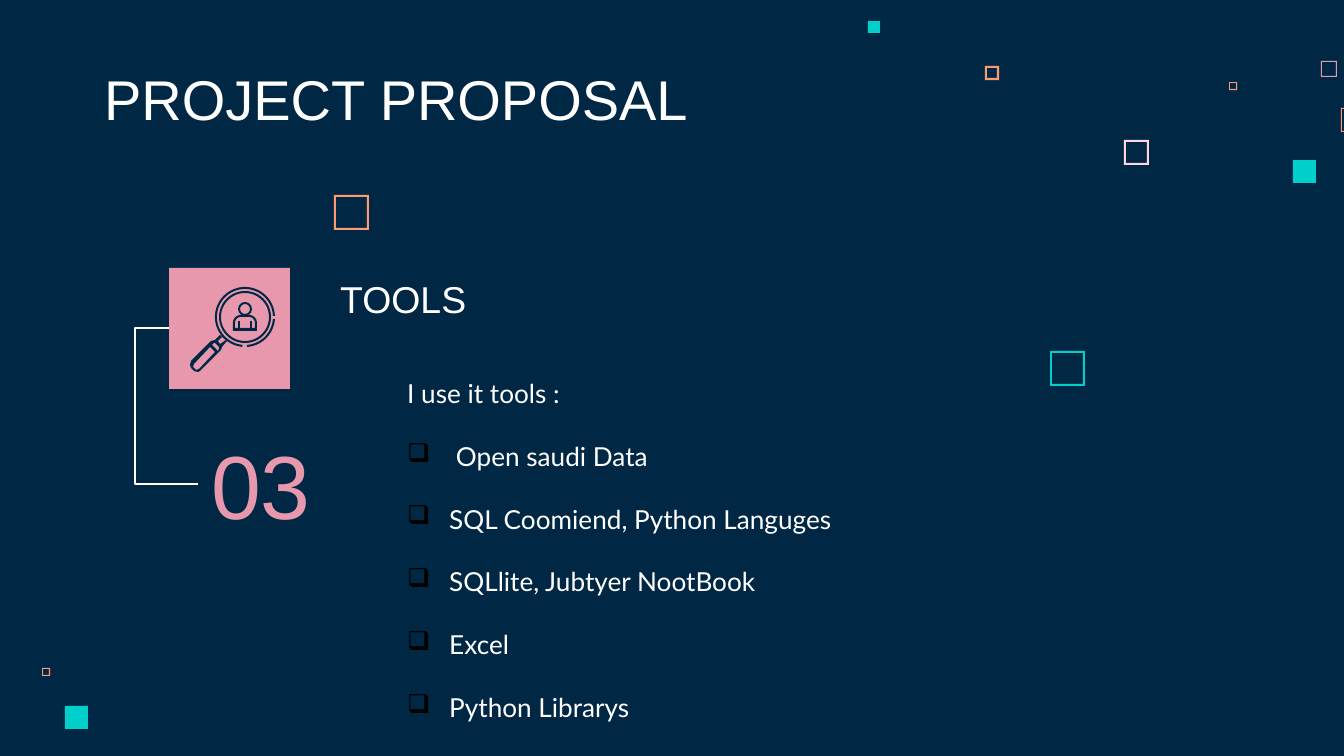
import dataclasses
import math

import pptx
import pptx.dml.color
import pptx.enum.shapes
import pptx.enum.text
import pptx.oxml.ns
import pptx.util
from lxml import etree

PX = 914400 / 134.4
ANCHOR = pptx.enum.text.MSO_ANCHOR
SHAPE = pptx.enum.shapes.MSO_SHAPE
qn = pptx.oxml.ns.qn


@dataclasses.dataclass(frozen=True)
class Theme:
    navy: str = "002845"
    white: str = "FFFFFF"
    pink: str = "E898AC"
    blush: str = "FFD6E1"
    coral: str = "FF9973"
    teal: str = "00CFCC"
    black: str = "000000"
    head: str = "Arial"
    body: str = "Lato"
    title: int = 30
    label: int = 20
    number: int = 48
    text: int = 14
    gap: float = 16.8


def emu(px):
    return pptx.util.Emu(round(px * PX))


def rgb(color):
    return pptx.dml.color.RGBColor.from_string(color)


def put(item, values):
    for name, value in values.items():
        setattr(item, name, value)


def arc(x, y, r, start, end):
    """Points along a circle, with degrees clockwise from the right."""
    steps = max(2, abs(end - start) // 6)
    turns = [math.radians(start + (end - start) * i / steps) for i in range(steps + 1)]
    return [(x + r * math.cos(a), y + r * math.sin(a)) for a in turns]


def box(x, y, w, h):
    return [(x, y), (x + w, y), (x + w, y + h), (x, y + h)]


class Pen:
    def __init__(self, slide, theme):
        self.slide, self.theme = slide, theme
        self.shapes = slide.shapes
        put(slide.background.fill, {})
        slide.background.fill.solid()
        slide.background.fill.fore_color.rgb = rgb(theme.navy)

    def paint(self, shape, color):
        shape.shadow.inherit = False
        shape.fill.solid()
        shape.fill.fore_color.rgb = rgb(color)
        shape.line.fill.background()

    def solid(self, x, y, w, h, color, kind=SHAPE.RECTANGLE):
        shape = self.shapes.add_shape(kind, emu(x), emu(y), emu(w), emu(h))
        self.paint(shape, color)
        return shape

    def ring(self, x, y, r, width, color):
        shape = self.solid(x - r, y - r, 2 * r, 2 * r, color, SHAPE.DONUT)
        shape.adjustments[0] = width / (2 * r)

    def free(self, loops, color):
        """Fill closed loops; a loop inside another is a hole."""
        loops = [[(emu(x), emu(y)) for x, y in loop] for loop in loops]
        path = self.shapes.build_freeform(*loops[0][0])
        for i, loop in enumerate(loops):
            if i:
                path.move_to(*loop[0])
            path.add_line_segments(loop[1:], close=True)
        self.paint(path.convert_to_shape(), color)

    def frame(self, x, y, size, edge, color):
        hole = box(x + edge, y + edge, size - 2 * edge, size - 2 * edge)
        self.free([hole, box(x, y, size, size)], color)

    def elbow(self, x1, y1, x2, y2, bend, color):
        kind = pptx.enum.shapes.MSO_CONNECTOR.ELBOW
        line = self.shapes.add_connector(kind, emu(x1), emu(y1), emu(x2), emu(y2))
        put(line.line, {"width": pptx.util.Pt(0.75)})
        line.line.color.rgb = rgb(color)
        props = line.element.spPr
        etree.SubElement(props, qn("a:effectLst"))
        shape = props.find(qn("a:prstGeom"))
        guides = shape.find(qn("a:avLst"))
        if guides is None:
            guides = etree.SubElement(shape, qn("a:avLst"))
        value = round((bend - x1) / (x2 - x1) * 100000)
        etree.SubElement(guides, qn("a:gd"), name="adj1", fmla=f"val {value}")

    def text(self, x, y, w, h, lines, size, font, color, anchor=ANCHOR.BOTTOM):
        frame = self.shapes.add_textbox(emu(x), emu(y), emu(w), emu(h)).text_frame
        sides = ("left", "top", "right", "bottom")
        put(frame, {f"margin_{side}": pptx.util.Inches(0.1) for side in sides})
        put(frame, {"word_wrap": True, "vertical_anchor": anchor})
        for i, line in enumerate(lines):
            para = frame.add_paragraph() if i else frame.paragraphs[0]
            para.space_before = pptx.util.Pt(self.theme.gap if i else 0)
            run = para.add_run()
            run.text = line
            put(run.font, {"size": pptx.util.Pt(size), "name": font})
            run.font.color.rgb = rgb(color)
        return frame.paragraphs

    def bullet(self, para, mark, color, indent):
        props = para._p.get_or_add_pPr()
        props.set("marL", str(emu(indent)))
        props.set("indent", str(emu(-indent)))
        tint = etree.SubElement(props, qn("a:buClr"))
        etree.SubElement(tint, qn("a:srgbClr"), val=color)
        etree.SubElement(props, qn("a:buChar"), char=mark)


def lens(pen, color):
    """Magnifier held over a person."""
    x, y = 245, 317
    page = pen.shapes
    pen.shapes = page.add_group_shape().shapes
    for start, end in ((95, 358), (4, 86)):
        pen.free([arc(x, y, 30, start, end) + arc(x, y, 28, end, start)], color)
    pen.ring(x, y, 26, 2, color)
    pen.ring(x, 309, 7, 2, color)
    body = [
        [(x - 4 - r, base)] + arc(x - 4, 323, r, 180, 270)
        + arc(x + 4, 323, r, 270, 360) + [(x + 4 + r, base)]
        for r, base in ((8, 331), (6, 328))
    ]
    pen.free(body, color)
    for arm in (238, 250):
        pen.free([box(arm, 321, 2, 8)], color)
    grip = [(220, 335), (215, 340), (211, 341), (191, 361), (190, 365),
            (191, 368), (194, 371), (198, 372), (200, 371), (218, 353),
            (221, 350), (222, 347), (227, 341)]
    holes = [
        [(210, 347), (215, 352), (199, 369), (196, 370), (193, 367), (194, 364)],
        [(215, 343), (219, 347), (219, 349), (218, 351), (212, 345), (214, 343)],
        [(222, 337), (226, 340), (220, 344), (218, 341)],
    ]
    pen.free([grip] + holes, color)
    pen.shapes = page


def main():
    deck = pptx.Presentation()
    put(deck, {"slide_width": emu(1344), "slide_height": emu(756)})
    t = Theme()
    pen = Pen(deck.slides.add_slide(deck.slide_layouts[6]), t)

    for x, y, size, edge, color in (
        (1124, 140, 25, 2, t.blush), (1321, 61, 16, 1, t.pink),
        (1229, 82, 8, 1, t.coral), (1341, 108, 24, 1, t.coral),
        (985, 66, 14, 2, t.coral), (42, 668, 8, 1, t.coral),
        (334, 195, 35, 2, t.coral), (1050, 351, 35, 2, t.teal),
    ):
        pen.frame(x, y, size, edge, color)
    for x, y, size in ((1293, 160, 23), (868, 21, 12), (65, 706, 23)):
        pen.solid(x, y, size, size, t.teal)

    pen.text(91, 60, 672, 85, ["PROJECT PROPOSAL"], t.title, t.head, t.white)
    pen.text(327, 249, 331, 85, ["TOOLS"], t.label, t.head, t.white)
    pen.text(198, 441, 258, 85, ["03"], t.number, t.head, t.pink, ANCHOR.MIDDLE)
    tools = ["I use it tools :", " Open saudi Data", "SQL Coomiend, Python Languges",
             "SQLlite, Jubtyer NootBook", "Excel", "Python Librarys"]
    paras = pen.text(394, 364, 495, 370, tools, t.text, t.body, t.white, ANCHOR.TOP)
    for para in paras[1:]:
        pen.bullet(para, "❑", t.black, 42)

    pen.solid(169, 268, 121, 121, t.pink)
    pen.elbow(169, 328, 198, 484, 135, t.white)
    lens(pen, t.navy)
    deck.save("out.pptx")


if __name__ == "__main__":
    main()
